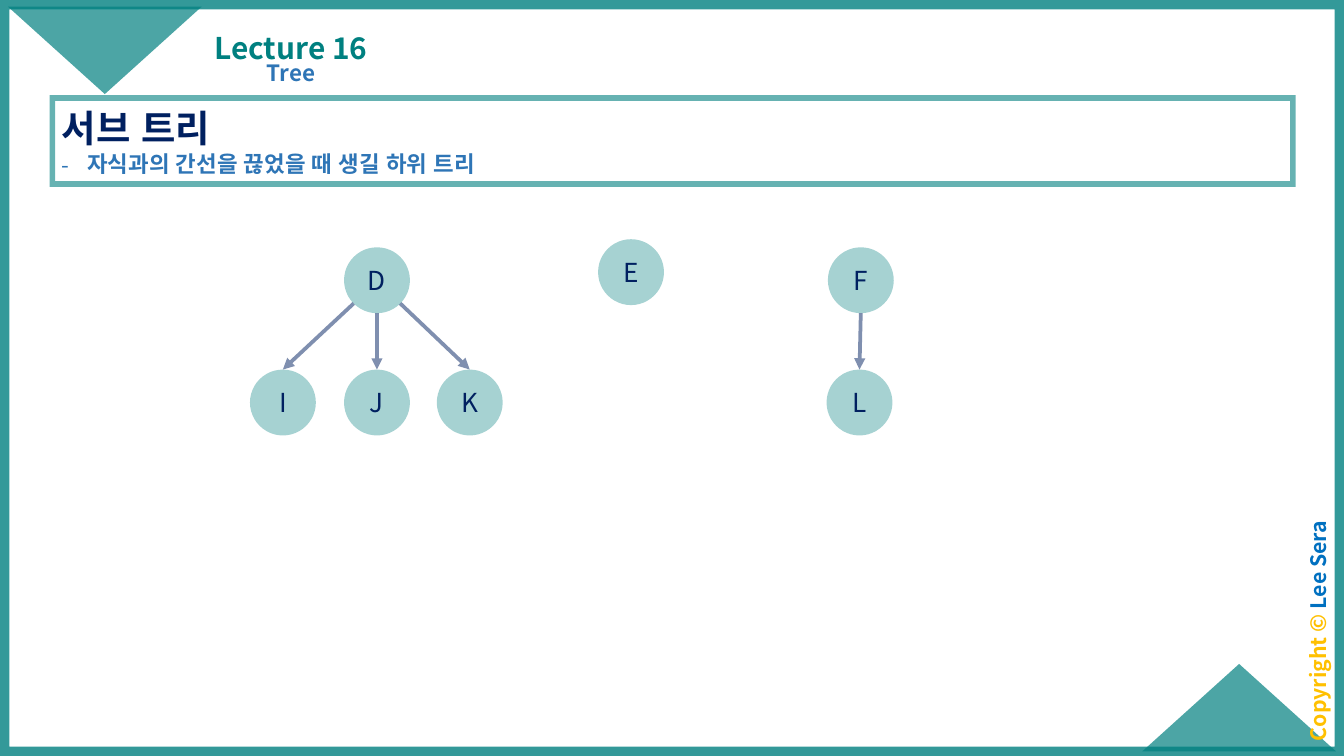
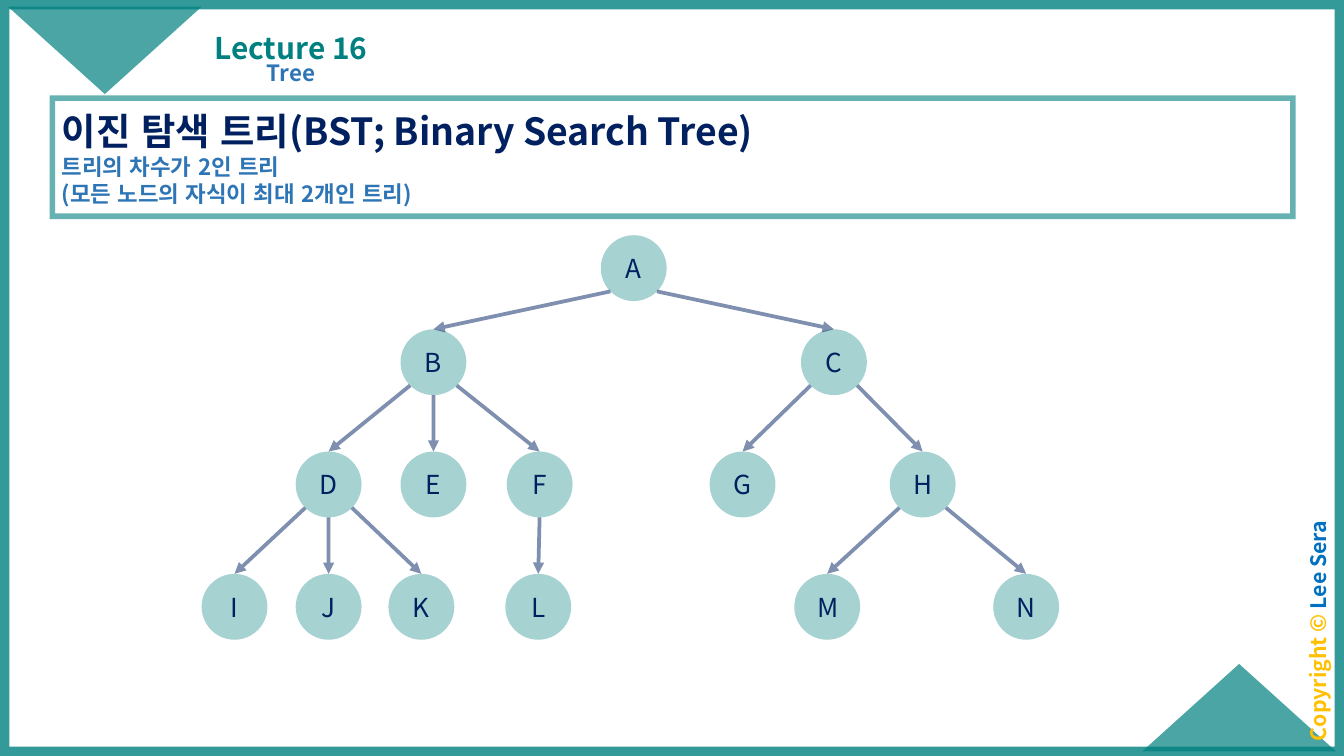
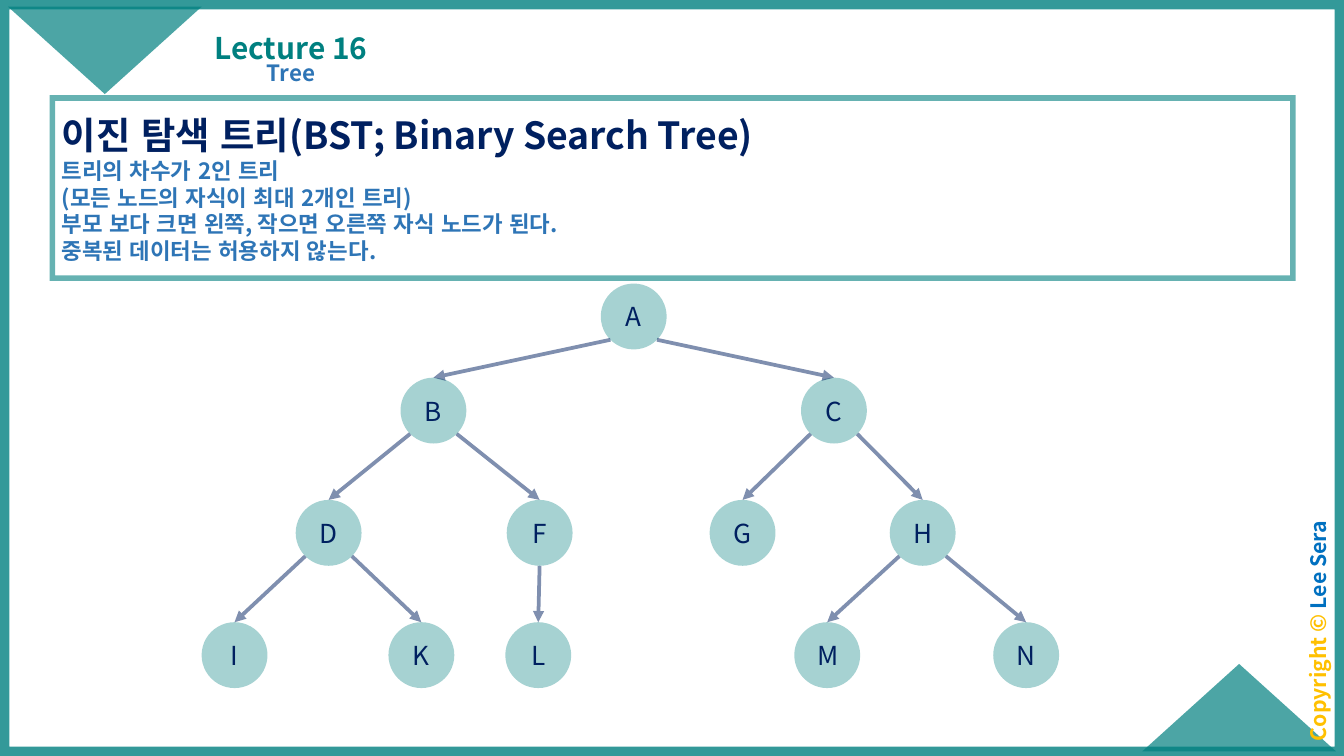
from math import sqrt
from lxml.etree import SubElement
from pptx import Presentation
from pptx.dml.color import RGBColor
from pptx.enum.lang import MSO_LANGUAGE_ID
from pptx.enum.shapes import MSO_CONNECTOR, MSO_SHAPE
from pptx.enum.text import MSO_ANCHOR, MSO_AUTO_SIZE, PP_ALIGN
from pptx.oxml.ns import qn
from pptx.util import Inches, Pt

COLORS = {"teal": "008080", "navy": "002060", "blue": "2E75B6",
          "gold": "FFC000", "sky": "0070C0"}
RGB = {name: RGBColor.from_string(code) for name, code in COLORS.items()}
FONT = "Noto Sans CJK KR"
WIDE = 10
HIGH = WIDE * 9 / 16
SIZE = 0.49
ROWS = {1.75: "A", 2.45: "BC", 3.36: "DEFGH", 4.27: "IJKLMN"}
LEFT = {"A": 4.47, "B": 2.98, "C": 5.96, "D": 2.2, "E": 2.98, "F": 3.77,
        "G": 5.28, "H": 6.62, "I": 1.5, "J": 2.2, "K": 2.89, "L": 3.76,
        "M": 5.91, "N": 7.39}
TOP = {name: top for top, row in ROWS.items() for name in row}
EDGES = ["AB", "AC", "BD", "BE", "BF", "CG", "CH",
         "DI", "DJ", "DK", "FL", "HM", "HN"]

BST = ["이진 탐색 트리(BST; Binary Search Tree)", "트리의 차수가 2인 트리",
       "(모든 노드의 자식이 최대 2개인 트리)"]
RULES = ["부모 보다 크면 왼쪽, 작으면 오른쪽 자식 노드가 된다.",
         "중복된 데이터는 허용하지 않는다."]
SLIDES = [
    (["서브 트리", "자식과의 간선을 끊었을 때 생길 하위 트리"], True, 0.64,
     [("E", 1.47, -1.58), ("FL", 2.39, -1.52), ("DIJK", 0.36, -1.52)]),
    (BST, False, 0.88, [("ABCDEFGHIJKLMN", 0, 0)]),
    (BST + RULES, False, 1.34, [("ABCDFGHIKLMN", 0, 0.36)]),
]


def style(par, size, color=None, bold=True):
    font = par.font
    font.size, font.bold, font.name = Pt(size), bold, FONT
    font.language_id = MSO_LANGUAGE_ID.KOREAN
    if color:
        font.color.rgb = RGB[color]
    props = par._p.pPr.find(qn("a:defRPr"))
    SubElement(props, qn("a:ea"), typeface=FONT)


def fade(shape, part):
    for color in shape._element.spPr.iter(qn("a:srgbClr")):
        SubElement(color, qn("a:alpha"), val=str(part * 1000))


deck = Presentation()
deck.slide_width, deck.slide_height = Inches(WIDE), Inches(HIGH)

for lines, dash, tall, trees in SLIDES:
    slide = deck.slides.add_slide(deck.slide_layouts[0])
    shapes = slide.shapes

    boxes = []
    for place, width, part in [((0, 0, WIDE, HIGH), 10, 80),
                               ((0.39, 0.73, 9.23, tall), 3, 60)]:
        box = shapes.add_shape(MSO_SHAPE.RECTANGLE, *map(Inches, place))
        box.shadow.inherit = False
        box.fill.background()
        box.line.color.rgb = RGB["teal"]
        box.line.width = Pt(width)
        SubElement(box._element.spPr.find(qn("a:ln")), qn("a:miter"), lim="800000")
        fade(box, part)
        boxes.append(box)
    panel = boxes[1]

    for left, top, turn in [(8.5, 4.94, 0), (0.06, 0.05, 180)]:
        corner = shapes.add_shape(MSO_SHAPE.ISOSCELES_TRIANGLE, Inches(left),
                                  Inches(top), Inches(1.44), Inches(0.65))
        corner.rotation = turn
        corner.shadow.inherit = False
        corner.fill.solid()
        corner.fill.fore_color.rgb = RGB["teal"]
        corner.line.fill.background()
        fade(corner, 70)

    credit = shapes.add_textbox(Inches(8.92), Inches(4.57), Inches(1.86), Inches(0.25))
    credit.rotation = 270
    par = credit.text_frame.paragraphs[0]
    par.alignment, par.line_spacing, par.space_before = PP_ALIGN.CENTER, 0.7, Pt(10)
    style(par, 11.4)
    for text, color in [("Copyright © ", "gold"), ("Lee Sera", "sky")]:
        run = par.add_run()
        run.text = text
        run.font.color.rgb = RGB[color]

    title, sub = shapes.title, slide.placeholders[1]
    for hold, text, place, size, color, gap, anchor in [
            (title, "Lecture 16", (1.4, 0.06, 1.53, 0.47), 16, "teal", 0, MSO_ANCHOR.BOTTOM),
            (sub, "Tree", (1.1, 0.42, 2.13, 0.34), 12, "blue", 7.5, MSO_ANCHOR.TOP)]:
        hold.left, hold.top, hold.width, hold.height = map(Inches, place)
        hold.text_frame.text = text
        hold.text_frame.vertical_anchor = anchor
        par = hold.text_frame.paragraphs[0]
        par.alignment, par.line_spacing, par.space_before = PP_ALIGN.CENTER, 0.9, Pt(gap)
        style(par, size, color)

    for item in (credit, title, sub, panel):
        frame = item.text_frame
        frame.word_wrap, frame.auto_size = True, MSO_AUTO_SIZE.NONE
        frame.margin_left = frame.margin_right = Inches(0.07)
        frame.margin_top = frame.margin_bottom = Inches(0.04)

    frame = panel.text_frame
    frame.vertical_anchor = MSO_ANCHOR.MIDDLE
    frame.text = "\n".join(lines)
    for row, par in enumerate(frame.paragraphs):
        par.alignment = PP_ALIGN.LEFT
        style(par, 12 if row else 20, "blue" if row else "navy")
        if row and dash:
            props = par._p.pPr
            props.set("marL", str(Inches(0.19)))
            props.set("indent", str(-Inches(0.19)))
            face = SubElement(props, qn("a:buFont"), typeface=FONT)
            mark = SubElement(props, qn("a:buChar"), char="-")
            props.insert(0, face)
            props.insert(1, mark)

    for names, right, down in trees:
        group = shapes.add_group_shape().shapes if len(names) > 1 else shapes
        for name in names:
            node = group.add_shape(MSO_SHAPE.OVAL, Inches(LEFT[name] + right),
                                   Inches(TOP[name] + down), Inches(SIZE), Inches(SIZE))
            node.shadow.inherit = False
            node.fill.solid()
            node.fill.fore_color.rgb = RGB["teal"]
            node.line.fill.background()
            fade(node, 35)
            node.text_frame.text = name
            node.text_frame.vertical_anchor = MSO_ANCHOR.MIDDLE
            par = node.text_frame.paragraphs[0]
            par.alignment = PP_ALIGN.CENTER
            style(par, 14, "navy", False)

        half = SIZE / 2
        for start, end in EDGES:
            if start not in names or end not in names:
                continue
            shift = LEFT[end] - LEFT[start]
            side, drop = 0, half
            if abs(shift) > 0.05:
                drop = half / sqrt(2)
                side = drop if shift > 0 else -drop
            arrow = group.add_connector(
                MSO_CONNECTOR.STRAIGHT,
                Inches(LEFT[start] + right + half + side),
                Inches(TOP[start] + down + half + drop),
                Inches(LEFT[end] + right + half), Inches(TOP[end] + down))
            arrow.line.color.rgb = RGB["navy"]
            arrow.line.width = Pt(2)
            fade(arrow, 50)
            props = arrow._element.spPr
            SubElement(props.find(qn("a:ln")), qn("a:tailEnd"), type="triangle")
            SubElement(props, qn("a:effectLst"))

deck.save("out.pptx")
